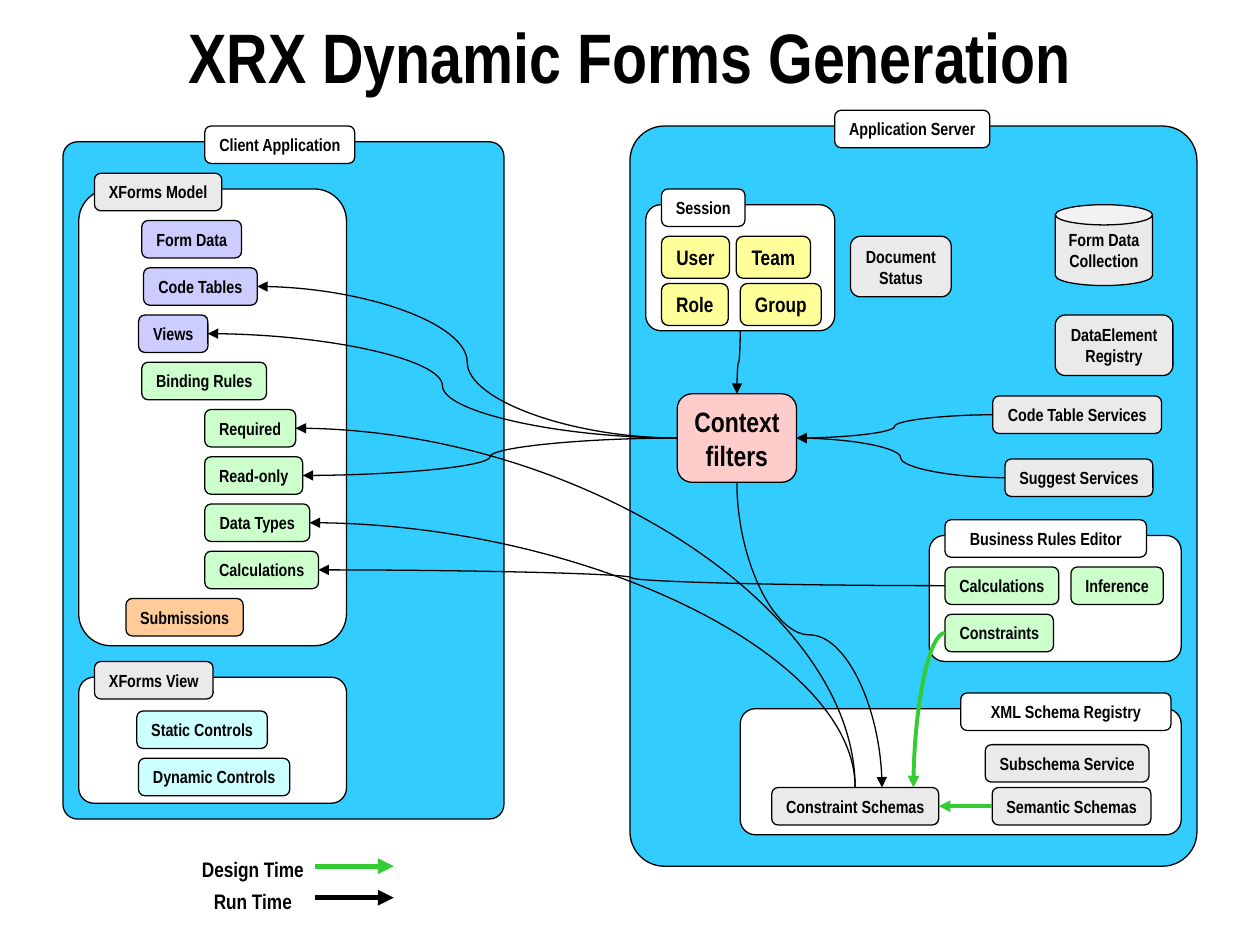
from lxml.etree import SubElement
from pptx import Presentation
from pptx.dml.color import RGBColor
from pptx.enum.shapes import MSO_CONNECTOR, MSO_SHAPE
from pptx.enum.text import MSO_ANCHOR, PP_ALIGN
from pptx.oxml.ns import qn
from pptx.util import Pt

COLORS = {
    "blue": "33CCFF", "white": "FFFFFF", "black": "000000", "gray": "EAEAEA",
    "lilac": "CCCCFF", "mint": "CCFFCC", "orange": "FFCC99", "cyan": "CCFFFF",
    "yellow": "FFFF99", "pink": "FFCCCC", "green": "33CC33",
}
FONT = "Arial Narrow"
LABEL_HEIGHT = 21.4
ROW_PITCH = 27
TOP, LEFT, BOTTOM, RIGHT = range(4)


def rgb(name):
    return RGBColor.from_string(COLORS[name])


def write_text(shape, text, size=10, anchor=MSO_ANCHOR.MIDDLE, wrap=False):
    frame = shape.text_frame
    frame.word_wrap = wrap
    frame.vertical_anchor = anchor
    frame.text = text
    for paragraph in frame.paragraphs:
        paragraph.alignment = PP_ALIGN.CENTER
        paragraph.font.name = FONT
        paragraph.font.size = Pt(size)
        paragraph.font.bold = True
        paragraph.font.color.rgb = rgb("black")


def add_box(slide, left, top, width, height, fill, corner=0.167, kind=MSO_SHAPE.ROUNDED_RECTANGLE):
    shape = slide.shapes.add_shape(kind, Pt(left), Pt(top), Pt(width), Pt(height))
    shape.adjustments[0] = corner
    shape.shadow.inherit = False
    shape.fill.solid()
    shape.fill.fore_color.rgb = rgb(fill)
    shape.line.color.rgb = rgb("black")
    shape.line.width = Pt(0.75)
    return shape


def add_labels(slide, labels, height=LABEL_HEIGHT, size=10):
    """Draw (text, left, top, width, fill) labels and return them by text."""
    boxes = {}
    for text, left, top, width, fill in labels:
        boxes[text] = add_box(slide, left, top, width, height, fill)
        write_text(boxes[text], text, size=size)
    return boxes


def side(shape, index):
    """Middle of a shape's side, in points."""
    left, top = shape.left.pt, shape.top.pt
    width, height = shape.width.pt, shape.height.pt
    return [(left + width / 2, top), (left, top + height / 2),
            (left + width / 2, top + height), (left + width, top + height / 2)][index]


def add_arrow(slide, begin, end, color="black", width=0.75, kind=MSO_CONNECTOR.STRAIGHT):
    connector = slide.shapes.add_connector(kind, *(Pt(value) for value in (*begin, *end)))
    connector.line.color.rgb = rgb(color)
    connector.line.width = Pt(width)
    SubElement(connector.line._get_or_add_ln(), qn("a:tailEnd"), type="triangle")
    SubElement(connector._element.spPr, qn("a:effectLst"))
    return connector


def add_curve(slide, begin, end, vertical=False, quarter=False, **line):
    """Curve leaving sideways, or up or down if vertical; quarter gives one bend."""
    if vertical:
        middle_x, middle_y = (begin[0] + end[0]) / 2, (begin[1] + end[1]) / 2
        begin, end = ((middle_x + y - middle_y, middle_y - x + middle_x)
                      for x, y in (begin, end))
    connector = add_arrow(slide, begin, end, kind=MSO_CONNECTOR.CURVE, **line)
    properties = connector._element.spPr
    if vertical:
        properties.find(qn("a:xfrm")).set("rot", str(90 * 60000))
    if quarter:
        properties.find(qn("a:prstGeom")).set("prst", "curvedConnector2")


def add_client(slide):
    add_box(slide, 36, 81, 252, 387, "blue", 0.033)
    add_box(slide, 45, 108, 153, 261, "white", 0.12)
    add_box(slide, 45, 387, 153, 72, "white", 0.12)
    rows = [
        ("Form Data", 81, 57, "lilac"), ("Code Tables", 82, 65, "lilac"),
        ("Views", 79.2, 39.6, "lilac"), ("Binding Rules", 81, 71.3, "mint"),
        ("Required", 117, 52, "mint"), ("Read-only", 117, 56, "mint"),
        ("Data Types", 117, 60, "mint"), ("Calculations", 117, 65, "mint"),
        ("Submissions", 72, 67, "orange"),
    ]
    labels = [(text, left, 126 + row * ROW_PITCH, width, fill)
              for row, (text, left, width, fill) in enumerate(rows)]
    return add_labels(slide, labels + [
        ("Client Application", 117, 72, 85.7, "white"),
        ("XForms Model", 54, 99, 72.8, "gray"),
        ("XForms View", 54, 378, 67.8, "gray"),
        ("Static Controls", 78.2, 406.3, 74.6, "cyan"),
        ("Dynamic Controls", 79.2, 406.3 + ROW_PITCH, 86.4, "cyan"),
    ])


def add_server(slide):
    add_box(slide, 360, 72, 324, 423, "blue", 0.061)
    session = add_box(slide, 369, 117, 108, 72, "white", 0.12)
    add_box(slide, 531, 306, 144, 72, "white", 0.12)
    add_box(slide, 423, 405, 252, 72, "white", 0.12)
    boxes = add_labels(slide, [
        ("Application Server", 477, 63, 88.6, "white"),
        ("Session", 378, 108, 47.7, "white"),
        ("Code Table Services", 567.3, 226.3, 96.5, "gray"),
        ("Suggest Services", 574.3, 262.3, 84.5, "gray"),
        ("Business Rules Editor", 540, 297, 115.2, "white"),
        ("Calculations", 540, 324, 65, "mint"),
        ("Inference", 612, 324, 52.7, "mint"),
        ("Constraints", 540, 351, 62, "mint"),
        ("XML Schema Registry", 549, 396, 120.2, "white"),
        ("Subschema Service", 563, 425.5, 93.6, "gray"),
        ("Semantic Schemas", 567, 450, 90.7, "gray"),
        ("Constraint Schemas", 441, 450, 95.4, "gray"),
    ])
    add_labels(slide, [
        ("User", 378, 135, 38.9, "yellow"), ("Team", 420.7, 135, 42.5, "yellow"),
        ("Role", 378, 162, 38.2, "yellow"), ("Group", 423, 162, 46.3, "yellow"),
    ], height=24, size=12)
    add_labels(slide, [
        ("Document\nStatus", 486, 135, 57.6, "gray"),
        ("DataElement\nRegistry", 603, 180, 67.2, "gray"),
    ], height=34.6)
    boxes |= add_labels(slide, [("Context\nfilters", 387, 225, 68.2, "pink")], height=50.6, size=16)
    collection = add_box(slide, 603, 117, 55.6, 46.2, "gray", 0.25, MSO_SHAPE.CAN)
    write_text(collection, "Form Data\nCollection")
    boxes["Session panel"] = session
    return boxes


def add_flows(slide, client, server):
    context = server["Context\nfilters"]
    schemas = server["Constraint Schemas"]
    for name in ("Code Tables", "Views", "Read-only"):
        add_curve(slide, side(context, LEFT), side(client[name], RIGHT))
    for name in ("Code Table Services", "Suggest Services"):
        add_curve(slide, side(server[name], LEFT), side(context, RIGHT))
    add_curve(slide, side(server["Calculations"], LEFT), side(client["Calculations"], RIGHT))
    add_curve(slide, side(server["Session panel"], BOTTOM), side(context, TOP), vertical=True)
    add_curve(slide, side(context, BOTTOM), (504, 450), vertical=True)
    for name in ("Required", "Data Types"):
        add_curve(slide, side(schemas, TOP), side(client[name], RIGHT), vertical=True, quarter=True)
    add_curve(slide, side(server["Constraints"], LEFT), (522, 450), quarter=True,
              color="green", width=2.25)
    semantic = server["Semantic Schemas"]
    arrow = add_arrow(slide, side(semantic, LEFT), side(schemas, RIGHT), color="green", width=2.25)
    arrow.begin_connect(semantic, LEFT)
    arrow.end_connect(schemas, RIGHT)


def add_legend(slide):
    for text, top, color in (("Design Time", 486, "green"), ("Run Time", 504, "black")):
        box = slide.shapes.add_textbox(Pt(108), Pt(top), Pt(73), Pt(21.8))
        write_text(box, text, size=12, anchor=MSO_ANCHOR.TOP)
        add_arrow(slide, (180, top + 9), (225, top + 9), color=color, width=3)


def main():
    presentation = Presentation()
    presentation.slide_width, presentation.slide_height = Pt(720), Pt(540)
    slide = presentation.slides.add_slide(presentation.slide_layouts[5])
    title = slide.shapes.title
    title.left, title.top, title.width, title.height = Pt(54), Pt(9), Pt(612), Pt(45)
    write_text(title, "XRX Dynamic Forms Generation", size=40, wrap=True)
    server = add_server(slide)
    client = add_client(slide)
    add_flows(slide, client, server)
    add_legend(slide)
    presentation.save("out.pptx")


if __name__ == "__main__":
    main()
